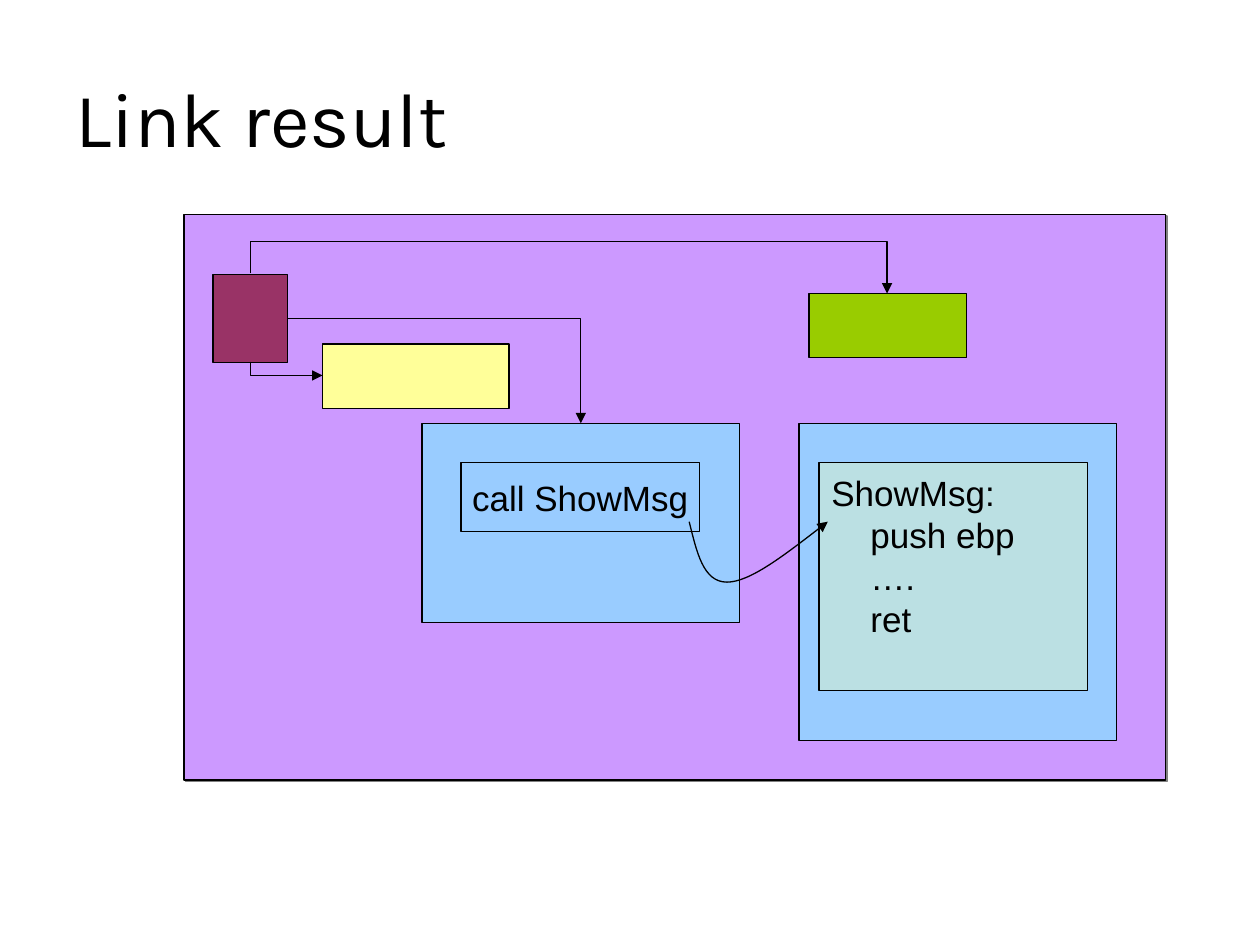
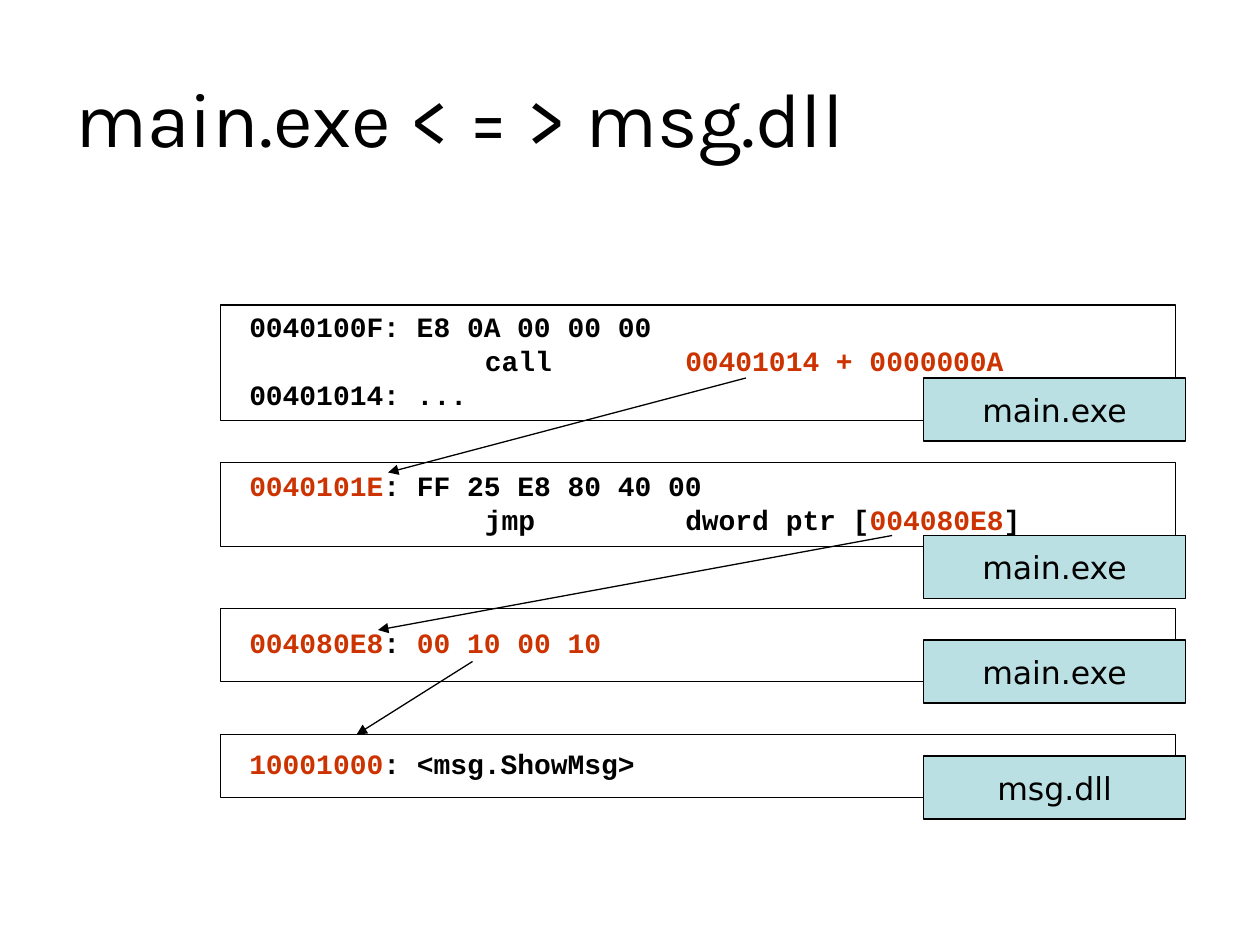
from lxml import etree
from pptx import Presentation
from pptx.dml.color import RGBColor
from pptx.enum.shapes import MSO_CONNECTOR as CONN, MSO_SHAPE as SHAPE
from pptx.enum.text import MSO_ANCHOR as ANCHOR, MSO_AUTO_SIZE as AUTO, PP_ALIGN as ALIGN
from pptx.oxml.ns import qn
from pptx.util import Inches, Pt

COLORS = {
    "ink": "000000", "hot": "CC3300", "image": "CC99FF", "shadow": "808080",
    "data": "FFFF99", "code": "99CCFF", "resource": "99CC00",
    "header": "993366", "label": "BBE0E3",
}
TITLE_FONT, TEXT_FONT, CODE_FONT, LABEL_FONT = "Karla", "Arial", "Courier New", "DejaVu Sans"

# Slide 1: parts of the linked program as (left, top, width, height, fill)
LINK_TITLE = "Link result"
IMAGE_BOX = (1.46, 1.7, 7.79, 4.49)
SECTIONS = [
    (2.56, 2.73, 1.48, 0.51, "data"),
    (3.35, 3.36, 2.52, 1.58, "code"),
    (6.42, 2.33, 1.25, 0.51, "resource"),
    (1.69, 2.18, 0.59, 0.7, "header"),
    (6.34, 3.36, 2.52, 2.52, "code"),
]
# Header links: start, end, preset, leaves vertically, bend
HEADER_LINKS = [
    ((1.99, 2.87), (2.56, 2.98), "bentConnector2", True, None),
    ((2.28, 2.53), (4.61, 3.36), "bentConnector2", False, None),
    ((1.99, 2.17), (7.04, 2.33), "bentConnector3", True, -1.58),
]
PROC_BOX = (6.5, 3.67, 2.13, 1.81)
PROC_LINES = [("ShowMsg:", 0), ("push ebp", 0.31), ("….", 0.31), ("ret", 0.31)]
CALL_BOX = (3.66, 3.67, 1.89, 0.55)
CALL_TEXT = "call ShowMsg"
CALL_CURVE = [(5.47, 4.14), (5.53, 4.38), (5.58, 4.62), (5.77, 4.62),
              (5.95, 4.62), (6.26, 4.38), (6.57, 4.14)]

# Slide 2: (top, height, label top, label, lines of (text, colour) runs)
JUMP_TITLE = "main.exe < = > msg.dll"
LISTINGS = [
    (2.42, 0.92, 3, "main.exe", [
        [("0040100F: E8 0A 00 00 00", "ink")],
        [("\tcall\t", "ink"), ("00401014 + 0000000A", "hot")],
        [("00401014: ...", "ink")]]),
    (3.67, 0.67, 4.25, "main.exe", [
        [("0040101E", "hot"), (": FF 25 E8 80 40 00", "ink")],
        [("\tjmp\tdword ptr [", "ink"), ("004080E8", "hot"), ("]", "ink")]]),
    (4.83, 0.58, 5.08, "main.exe", [
        [("004080E8", "hot"), (": ", "ink"), ("00 10 00 10", "hot")]]),
    (5.83, 0.5, 6, "msg.dll", [
        [("10001000", "hot"), (": <msg.ShowMsg>", "ink")]]),
]
LISTING_LEFT, LISTING_WIDTH = 1.75, 7.58
LABEL_LEFT, LABEL_WIDTH, LABEL_HEIGHT = 7.33, 2.08, 0.5
CODE_INDENT, CODE_TABS = 0.13, (2.0, 3.59)
JUMPS = [((3.75, 5.25), (2.83, 5.83)), ((5.92, 3), (3.08, 3.75)), ((7.08, 4.25), (3, 5))]


def rgb(name):
    return RGBColor.from_string(COLORS[name])


def add(parent, tag, **attrs):
    return etree.SubElement(parent, qn(tag), {k: str(v) for k, v in attrs.items()})


def add_run(p, text, font, size, color="ink", bold=False):
    r = p.add_run()
    r.text = text
    r.font.name, r.font.size, r.font.bold = font, Pt(size), bold
    r.font.color.rgb = rgb(color)


def next_paragraph(tf, index):
    return tf.add_paragraph() if index else tf.paragraphs[0]


def outline(sp):
    sp.line.color.rgb = rgb("ink")
    sp.line.width = Pt(0.75)


def add_arrowhead(sp):
    ln = sp._element.spPr.find(qn("a:ln"))
    add(ln, "a:tailEnd", type="triangle")


def add_slide(prs, title):
    s = prs.slides.add_slide(prs.slide_layouts[5])
    sp = s.shapes.title
    sp.left, sp.top, sp.width, sp.height = map(Inches, (0.5, 0.3, 9, 1.25))
    tf = sp.text_frame
    tf.auto_size, tf.vertical_anchor = AUTO.NONE, ANCHOR.MIDDLE
    p = tf.paragraphs[0]
    p.alignment = ALIGN.LEFT
    add_run(p, title, TITLE_FONT, 44)
    return s


def add_box(s, left, top, width, height, fill=None):
    sp = s.shapes.add_shape(SHAPE.RECTANGLE, *map(Inches, (left, top, width, height)))
    sp.shadow.inherit = False
    if fill:
        sp.fill.solid()
        sp.fill.fore_color.rgb = rgb(fill)
    else:
        sp.fill.background()
    outline(sp)
    tf = sp.text_frame
    tf.vertical_anchor = ANCHOR.MIDDLE
    tf.paragraphs[0].alignment = ALIGN.LEFT
    return sp


def add_caption(sp, text, font, size):
    tf = sp.text_frame
    tf.word_wrap = False
    p = tf.paragraphs[0]
    p.alignment = ALIGN.CENTER
    add_run(p, text, font, size)


def add_arrow(s, start, end):
    c = s.shapes.add_connector(CONN.STRAIGHT, *map(Inches, start + end))
    outline(c)
    add_arrowhead(c)
    add(c._element.spPr, "a:effectLst")
    return c


def add_bent_arrow(s, start, end, preset, vertical, bend):
    c = add_arrow(s, start, end)
    geom = c._element.spPr.find(qn("a:prstGeom"))
    geom.set("prst", preset)
    if bend is not None:
        guides = geom.find(qn("a:avLst"))
        add(guides, "a:gd", name="adj1", fmla=f"val {round(bend * 100000)}")
    if vertical:
        # A quarter turn swaps the sides around the same centre
        (x1, y1), (x2, y2) = start, end
        w, h = y2 - y1, x2 - x1
        c.left, c.top = Inches((x1 + x2 - w) / 2), Inches((y1 + y2 - h) / 2)
        c.width, c.height = Inches(w), Inches(h)
        xfrm = c._element.spPr.find(qn("a:xfrm"))
        xfrm.set("rot", str(270 * 60000))
        xfrm.set("flipH", "1")


def add_curve(s, points):
    pts = [(Inches(x), Inches(y)) for x, y in points]
    builder = s.shapes.build_freeform(*pts[0])
    builder.add_line_segments(pts[1:], close=False)
    sp = builder.convert_to_shape()
    sp.shadow.inherit = False
    sp.fill.background()
    outline(sp)
    add_arrowhead(sp)
    # Join every three segments into one cubic curve
    segments = list(sp._element.iter(qn("a:lnTo")))
    outline_steps = segments[0].getparent()
    for i in range(0, len(segments), 3):
        cubic = add(outline_steps, "a:cubicBezTo")
        for segment in segments[i:i + 3]:
            cubic.append(segment[0])
            outline_steps.remove(segment)


def build_link_slide(prs):
    s = add_slide(prs, LINK_TITLE)

    # Program image with its drop shadow
    image = add_box(s, *IMAGE_BOX, "image")
    effects = image._element.spPr.find(qn("a:effectLst"))
    shadow = add(effects, "a:outerShdw", blurRad=0, dist=Pt(1.4), dir=45 * 60000,
                 algn="ctr", rotWithShape=0)
    add(shadow, "a:srgbClr", val=COLORS["shadow"])

    # Sections and the header's links to them
    for section in SECTIONS:
        add_box(s, *section)
    for link in HEADER_LINKS:
        add_bent_arrow(s, *link)

    # Called procedure
    tf = add_box(s, *PROC_BOX, "label").text_frame
    tf.word_wrap, tf.vertical_anchor = True, ANCHOR.TOP
    tf.margin_top = Inches(0.07)
    for i, (text, indent) in enumerate(PROC_LINES):
        p = next_paragraph(tf, i)
        p.alignment, p.line_spacing = ALIGN.LEFT, Pt(24)
        p._p.get_or_add_pPr().set("marL", str(Inches(indent)))
        add_run(p, text, TEXT_FONT, 20)

    # Call and its target
    add_caption(add_box(s, *CALL_BOX), CALL_TEXT, TEXT_FONT, 20)
    add_curve(s, CALL_CURVE)


def build_jump_slide(prs):
    s = add_slide(prs, JUMP_TITLE)

    # Code listings, set slightly high to stay clear of the labels
    for top, height, _, _, lines in LISTINGS:
        tf = add_box(s, LISTING_LEFT, top, LISTING_WIDTH, height).text_frame
        tf.word_wrap = True
        tf.margin_top, tf.margin_bottom = Inches(0.03), Inches(0.07)
        for i, runs in enumerate(lines):
            p = next_paragraph(tf, i)
            p.alignment, p.line_spacing = ALIGN.LEFT, Pt(19.4)
            pPr = p._p.get_or_add_pPr()
            if runs[0][0].startswith("\t"):
                tabs = add(pPr, "a:tabLst")
                for pos in CODE_TABS:
                    add(tabs, "a:tab", pos=Inches(pos), algn="l")
            else:
                pPr.set("marL", str(Inches(CODE_INDENT)))
            for text, color in runs:
                add_run(p, text, CODE_FONT, 16, color, bold=True)

    # Jumps from address to address
    for start, end in JUMPS:
        add_arrow(s, start, end)

    # File labels
    for _, _, top, name, _ in LISTINGS:
        sp = add_box(s, LABEL_LEFT, top, LABEL_WIDTH, LABEL_HEIGHT, "label")
        add_caption(sp, name, LABEL_FONT, 18)


def main():
    prs = Presentation()
    prs.slide_width, prs.slide_height = Inches(10), Inches(7.5)
    build_link_slide(prs)
    build_jump_slide(prs)
    prs.save("out.pptx")


if __name__ == "__main__":
    main()
